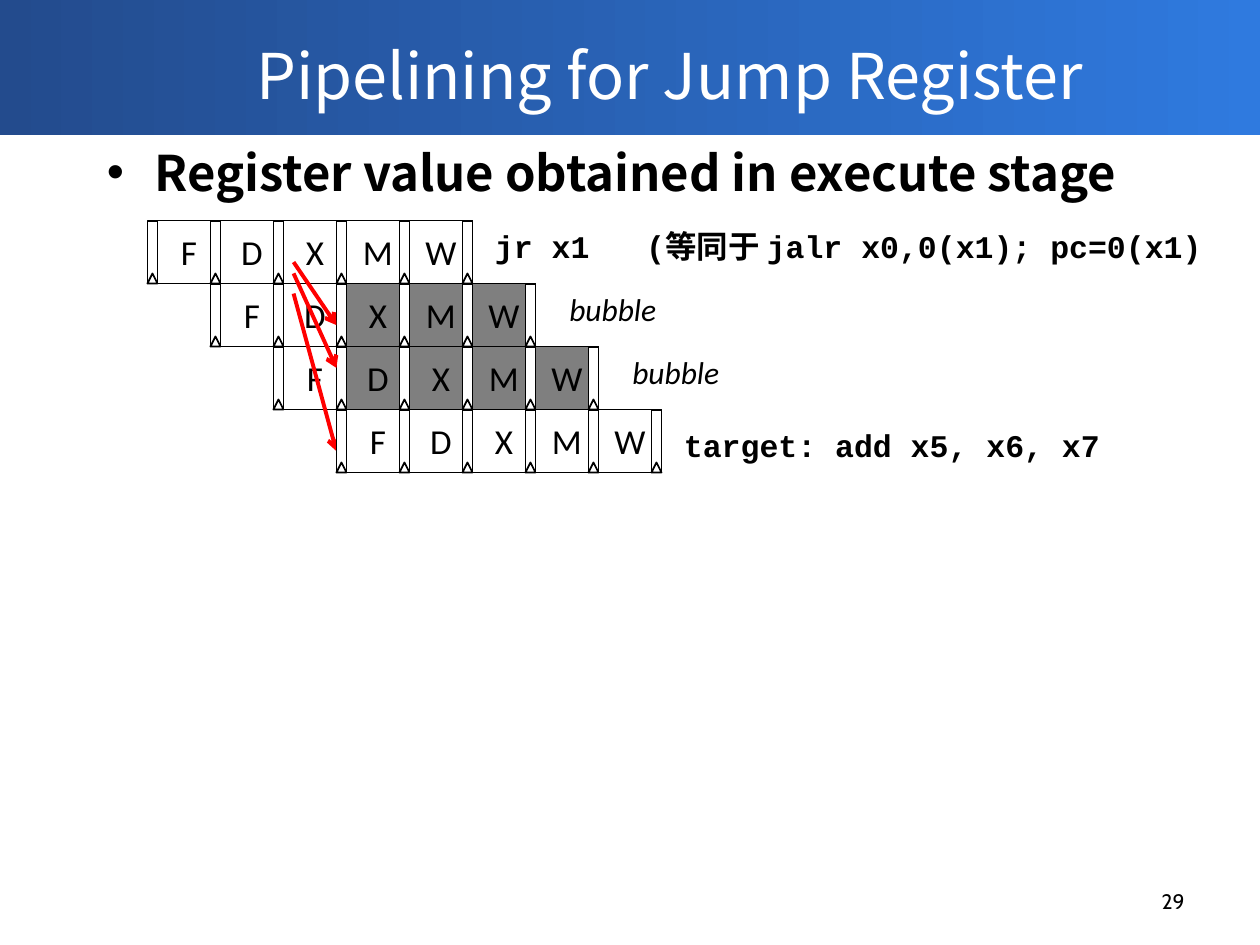
from dataclasses import dataclass

from lxml import etree
from pptx import Presentation
from pptx.dml.color import RGBColor
from pptx.enum import shapes, text
from pptx.oxml.ns import qn
from pptx.util import Inches, Pt


@dataclass(frozen=True)
class Theme:
    black: str = "000000"
    white: str = "FFFFFF"
    bubble: str = "7F7F7F"
    arrow: str = "FF0000"
    banner_left: str = "234B8D"
    banner_right: str = "2F7ADF"
    heading_font: str = "Noto Sans CJK SC"
    stage_font: str = "Calibri"
    code_font: str = "Courier New"
    number_font: str = "Cabin"
    title_size: float = 36
    body_size: float = 28
    stage_size: float = 20
    label_size: float = 18
    number_size: float = 12


@dataclass(frozen=True)
class Instruction:
    """One pipeline row; stages from first_bubble onwards are squashed."""
    label: str
    label_width: float
    label_gap: float = 0.08
    label_drop: float = 0
    first_bubble: int = 5
    is_code: bool = True


@dataclass(frozen=True)
class Redirect:
    start_y: float
    end_y: float


THEME = Theme()
STAGES = "FDXMW"
CELL = 0.5
GRID_LEFT, GRID_TOP = 1.25, 1.75
REGISTER_WIDTH, REGISTER_HEIGHT = 0.08, 0.49
REDIRECT_START_X, REDIRECT_END_X = 2.33, 2.67

INSTRUCTIONS = [
    Instruction("jr x1   (等同于 jalr x0,0(x1); pc=0(x1)", 6.09),
    Instruction("bubble", 0.96, 0.17, first_bubble=2, is_code=False),
    Instruction("bubble", 0.96, 0.17, first_bubble=1, is_code=False),
    Instruction("target: add x5, x6, x7", 3.53, label_drop=0.08),
]
REDIRECTS = [Redirect(2.17, 2.92), Redirect(2.08, 2.58), Redirect(2.33, 3.58)]


def write(shape, content: str, font: str, size: float, color: str = THEME.black,
          align=text.PP_ALIGN.LEFT, anchor=text.MSO_ANCHOR.TOP,
          bold: bool = False, italic: bool = False):
    frame = shape.text_frame
    frame.text = content
    frame.vertical_anchor = anchor
    paragraph = frame.paragraphs[0]
    paragraph.alignment = align
    run = paragraph.runs[0]
    run.font.name, run.font.size = font, Pt(size)
    run.font.bold, run.font.italic = bold, italic
    run.font.color.rgb = RGBColor.from_string(color)
    east_asian = etree.SubElement(run.font._element, qn("a:ea"))
    east_asian.set("typeface", THEME.heading_font)
    return paragraph


def add_text(slide, left: float, top: float, width: float, height: float,
             content: str, font: str, size: float, wrap: bool = True, **style):
    box = slide.shapes.add_textbox(
        Inches(left), Inches(top), Inches(width), Inches(height))
    box.text_frame.word_wrap = wrap
    if not wrap:
        box.text_frame.auto_size = text.MSO_AUTO_SIZE.SHAPE_TO_FIT_TEXT
    return write(box, content, font, size, **style)


def add_outlined(slide, kind, left: float, top: float, width: float,
                 height: float, fill: str = THEME.white):
    shape = slide.shapes.add_shape(
        kind, Inches(left), Inches(top), Inches(width), Inches(height))
    shape.shadow.inherit = False
    shape.fill.solid()
    shape.fill.fore_color.rgb = RGBColor.from_string(fill)
    shape.line.color.rgb = RGBColor.from_string(THEME.black)
    shape.line.width = Pt(1)
    return shape


def add_register(slide, right: float, top: float) -> None:
    """Pipeline register with its clock triangle, ending at a cell boundary."""
    center_x = right - REGISTER_WIDTH / 2
    bar = add_outlined(slide, shapes.MSO_SHAPE.RECTANGLE,
                       center_x - REGISTER_HEIGHT / 2,
                       top + (CELL - REGISTER_WIDTH) / 2,
                       REGISTER_HEIGHT, REGISTER_WIDTH)
    bar.rotation = 270
    add_outlined(slide, shapes.MSO_SHAPE.ISOSCELES_TRIANGLE,
                 right - REGISTER_WIDTH, top + CELL - REGISTER_WIDTH,
                 REGISTER_WIDTH, REGISTER_WIDTH)


def add_stage(slide, name: str, left: float, top: float, fill: str) -> None:
    cell = add_outlined(slide, shapes.MSO_SHAPE.RECTANGLE,
                        left, top, CELL, CELL, fill)
    frame = cell.text_frame
    frame.margin_left = frame.margin_right = 0
    frame.margin_top = frame.margin_bottom = 0
    write(cell, name, THEME.stage_font, THEME.stage_size,
          align=text.PP_ALIGN.CENTER, anchor=text.MSO_ANCHOR.MIDDLE)
    add_register(slide, left + CELL, top)


def add_instruction(slide, row: int, instruction: Instruction) -> None:
    left, top = GRID_LEFT + row * CELL, GRID_TOP + row * CELL
    add_register(slide, left, top)
    for column, name in enumerate(STAGES):
        squashed = column >= instruction.first_bubble
        add_stage(slide, name, left + column * CELL, top,
                  THEME.bubble if squashed else THEME.white)
    add_text(slide, left + len(STAGES) * CELL + instruction.label_gap,
             top + instruction.label_drop, instruction.label_width, 0.4,
             instruction.label,
             THEME.code_font if instruction.is_code else THEME.stage_font,
             THEME.label_size, wrap=False,
             bold=instruction.is_code, italic=not instruction.is_code)


def add_redirect(slide, redirect: Redirect) -> None:
    arrow = slide.shapes.add_connector(
        shapes.MSO_CONNECTOR.STRAIGHT,
        Inches(REDIRECT_START_X), Inches(redirect.start_y),
        Inches(REDIRECT_END_X), Inches(redirect.end_y))
    arrow.line.color.rgb = RGBColor.from_string(THEME.arrow)
    arrow.line.width = Pt(2.25)
    line = arrow.line._get_or_add_ln()
    etree.SubElement(line, qn("a:tailEnd")).set("type", "arrow")
    etree.SubElement(arrow.element.spPr, qn("a:effectLst"))


def add_title(slide) -> None:
    title = slide.shapes.title
    title.left, title.top = Inches(1.13), Inches(0.16)
    title.width, title.height = Inches(8.37), Inches(0.86)
    write(title, "Pipelining for Jump Register", THEME.heading_font,
          THEME.title_size, THEME.white, text.PP_ALIGN.CENTER,
          text.MSO_ANCHOR.MIDDLE)
    banner = slide.shapes.add_shape(
        shapes.MSO_SHAPE.RECTANGLE, 0, 0, Inches(10), Inches(1.07))
    banner.shadow.inherit = False
    banner.line.fill.background()
    banner.fill.gradient()
    banner.fill.gradient_angle = 0
    colors = (THEME.banner_left, THEME.banner_right)
    for position, (stop, color) in enumerate(zip(banner.fill.gradient_stops, colors)):
        stop.position = position
        stop.color.rgb = RGBColor.from_string(color)
    title.element.addprevious(banner.element)


def add_bullet(slide) -> None:
    paragraph = add_text(slide, 0.75, 1.08, 8.4, 3.15,
                         "Register value obtained in execute stage",
                         THEME.heading_font, THEME.body_size, bold=True)
    properties = paragraph._p.get_or_add_pPr()
    properties.set("marL", str(Inches(0.38)))
    properties.set("indent", str(Inches(-0.38)))
    spacing = etree.SubElement(properties, qn("a:spcBef"))
    etree.SubElement(spacing, qn("a:spcPct")).set("val", "20000")
    etree.SubElement(properties, qn("a:buFont")).set("typeface", "Arial")
    etree.SubElement(properties, qn("a:buChar")).set("char", "•")


def main() -> None:
    presentation = Presentation()
    presentation.slide_width, presentation.slide_height = Inches(10), Inches(7.5)
    slide = presentation.slides.add_slide(presentation.slide_layouts[5])
    add_title(slide)
    add_bullet(slide)
    add_text(slide, 7.17, 6.95, 2.33, 0.4, "29", THEME.number_font,
             THEME.number_size, align=text.PP_ALIGN.RIGHT,
             anchor=text.MSO_ANCHOR.MIDDLE)
    target_row = len(INSTRUCTIONS) - 1
    for row, instruction in enumerate(INSTRUCTIONS):
        if row == target_row:
            for redirect in REDIRECTS:
                add_redirect(slide, redirect)
        add_instruction(slide, row, instruction)
    presentation.save("out.pptx")


if __name__ == "__main__":
    main()
